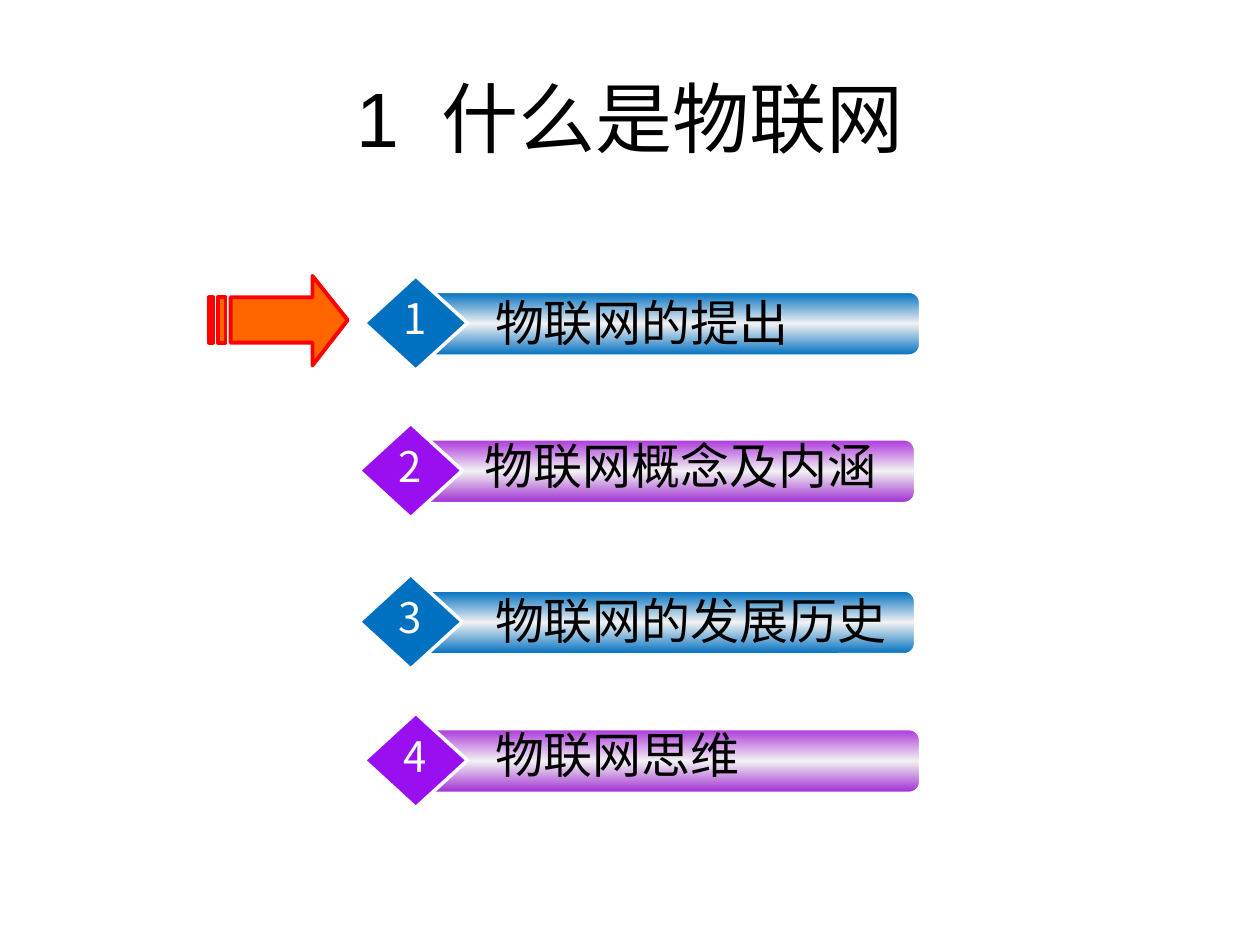
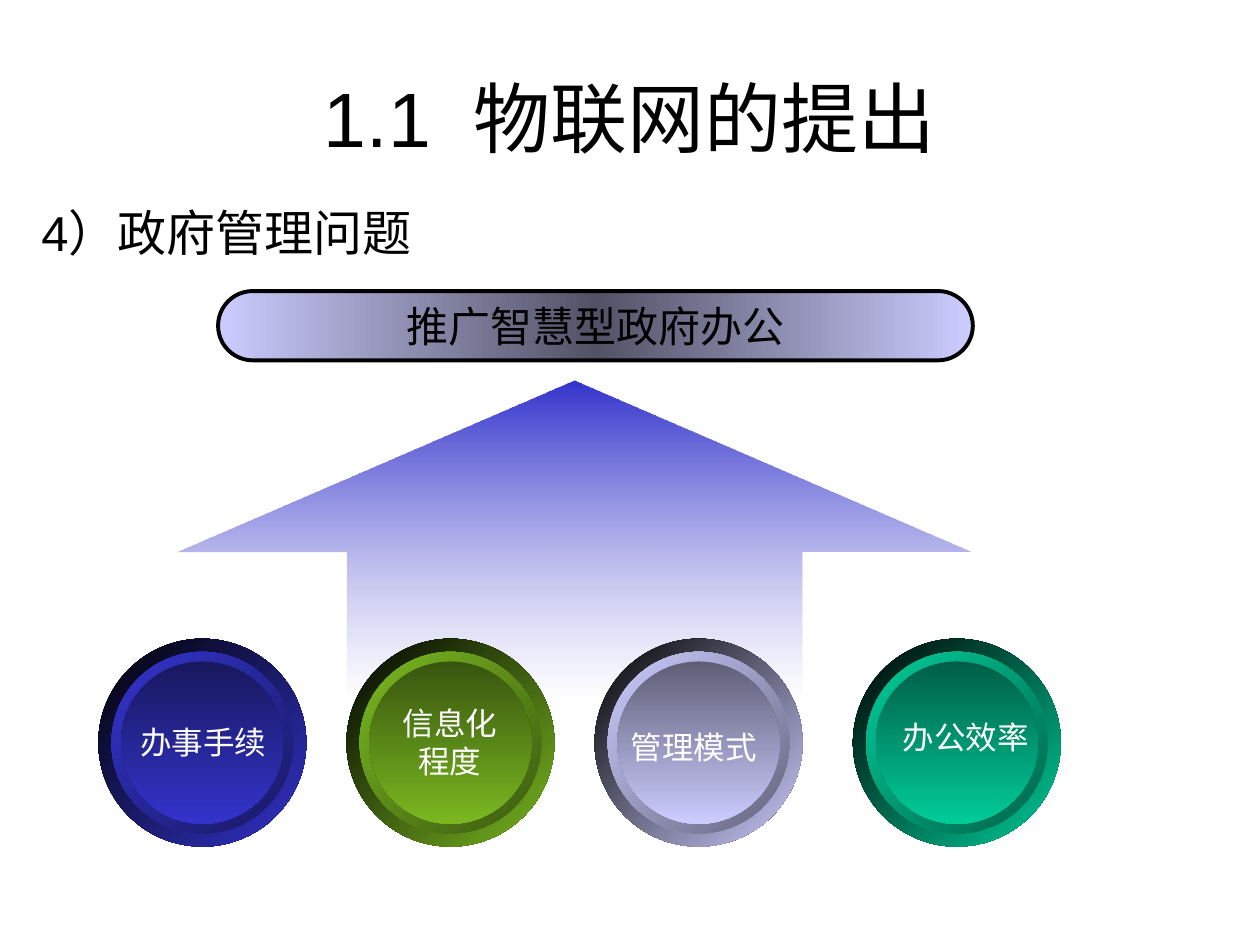
"""Build two slides on the Internet of Things: an agenda and a government management diagram."""
from dataclasses import dataclass

from lxml.etree import SubElement
from pptx import Presentation
from pptx.dml.color import RGBColor
from pptx.enum.shapes import MSO_SHAPE as SHAPE
from pptx.enum.text import MSO_ANCHOR as ANCHOR, PP_ALIGN as ALIGN
from pptx.oxml.ns import qn
from pptx.util import Pt


@dataclass(frozen=True)
class Theme:
    black: str = "000000"
    white: str = "FFFFFF"
    blue: str = "0070C0"
    violet: str = "9A0FEF"
    silver: str = "F2F2F2"
    orange: str = "FF6600"
    red: str = "FF0000"
    indigo: str = "3333CC"
    pale_indigo: str = "8484E0"
    lavender: str = "CCCCFF"
    slate: str = "525266"
    green: str = "7AB820"
    teal: str = "00CC99"
    latin: str = "Arial"
    diagram: str = "Calibri"
    asian: str = "Noto Sans CJK SC"
    title_size: int = 44
    heading_size: int = 28
    accent_size: int = 24
    label_size: int = 18


THEME = Theme()
BLUE_BAR = (THEME.blue, [(0, THEME.blue), (50, THEME.silver), (100, THEME.blue)])
VIOLET_BAR = (THEME.violet, [(0, "AD39DB"), (50, THEME.silver), (100, "9F2ED2")])

AGENDA_TITLE = ("1", "什么是物联网")
AGENDA = [
    ("物联网的提出", BLUE_BAR, (241.2, 167), (275.8, 163.4, 230.4)),
    ("物联网概念及内涵", VIOLET_BAR, (238.3, 251.3), (270, 245.5, 247.7)),
    ("物联网的发展历史", BLUE_BAR, (238.3, 337.7), (275.8, 334.1, 247.7)),
    ("物联网思维", VIOLET_BAR, (241.2, 416.9), (275.8, 410.4, 216)),
]

GOVERNMENT_TITLE = ("1.1", "物联网的提出")
GOVERNMENT_HEADING = "4）政府管理问题"
GOVERNMENT_GOAL = "推广智慧型政府办公"
CAUSES = [
    ("办事手续", THEME.indigo, 56.2, (72.7, 409.7, 87.1, 28.8)),
    ("信息化\n程度", THEME.green, 198, (222.5, 398.9, 69.1, 50.4)),
    ("管理模式", THEME.lavender, 339.8, (352.8, 412.6, 87.1, 28.8)),
    ("办公效率", THEME.teal, 487.4, (508.3, 406.8, 87.1, 28.8)),
]
CAUSE_TOP, CAUSE_SIZE = 365, 118.8
RIM_INSET, CORE_INSET = 7.5, 13
RIM_SHADE, CORE_SHADE = 0.486, 0.462


def points(*lengths):
    return [Pt(length) for length in lengths]


def shade(color, factor):
    return "".join(f"{round(channel * factor):02X}" for channel in RGBColor.from_string(color))


def style_run(run, size, font, color):
    run.font.size = Pt(size)
    run.font.name = font
    run.font.color.rgb = RGBColor.from_string(color)
    SubElement(run.font._element, qn("a:ea"), typeface=THEME.asian)


def write(frame, text, size, font, color, align=ALIGN.LEFT, wrap=False):
    frame.text = text
    frame.word_wrap = wrap
    for paragraph in frame.paragraphs:
        paragraph.alignment = align
        for run in paragraph.runs:
            style_run(run, size, font, color)


def add_label(slide, box, *style, **layout):
    write(slide.shapes.add_textbox(*points(*box)).text_frame, *style, **layout)


def outline(shape, color, width):
    shape.line.color.rgb = RGBColor.from_string(color)
    shape.line.width = Pt(width)


def solid(shape, color):
    shape.fill.solid()
    shape.fill.fore_color.rgb = RGBColor.from_string(color)


def gradient(shape, stops, angle):
    shape.fill.gradient()
    grad = shape._element.spPr.find(qn("a:gradFill"))
    grad.find(qn("a:lin")).set("ang", str(angle * 60000))
    stop_list = grad.find(qn("a:gsLst"))
    for preset_stop in list(stop_list):
        stop_list.remove(preset_stop)
    for position, color, *alpha in stops:
        stop = SubElement(stop_list, qn("a:gs"), pos=str(position * 1000))
        tint = SubElement(stop, qn("a:srgbClr"), val=color)
        for value in alpha:
            SubElement(tint, qn("a:alpha"), val=str(value * 1000))


def add_preset(slide, kind, box, adjustments=()):
    shape = slide.shapes.add_shape(kind, *points(*box))
    shape.shadow.inherit = False
    shape.line.fill.background()
    for index, value in enumerate(adjustments):
        shape.adjustments[index] = value
    return shape


def add_titled_slide(deck, number, name):
    slide = deck.slides.add_slide(deck.slide_layouts[5])
    title = slide.shapes.title
    title.left, title.top, title.width, title.height = points(36, 21.6, 648, 90)
    title.text_frame.vertical_anchor = ANCHOR.MIDDLE
    heading = title.text_frame.paragraphs[0]
    heading.alignment = ALIGN.CENTER
    for part in (number, " ", name):
        run = heading.add_run()
        run.text = part
        style_run(run, THEME.title_size, THEME.latin, THEME.black)
        if part == " ":
            run.font._element.set("spc", "1200")
    return slide


def add_agenda_row(slide, number, topic, palette, bar_at, topic_at):
    accent, stops = palette
    left, top = bar_at
    bar = add_preset(slide, SHAPE.ROUNDED_RECTANGLE, (left, top, 284.4, 36), [0.167])
    gradient(bar, stops, 90)
    outline(bar, THEME.white, 1)
    diamond = add_preset(slide, SHAPE.DIAMOND, (left - 33.1, top - 9.4, 59, 54))
    solid(diamond, accent)
    outline(diamond, THEME.white, 2)
    add_label(slide, (*topic_at, 41), topic, THEME.heading_size, THEME.latin, THEME.black, wrap=True)
    add_label(slide, (left - 17.6, top - 3.2, 26.6, 36.7), str(number),
              THEME.accent_size, THEME.asian, THEME.white)


def add_pointer(slide):
    top, bottom = 169.9, 195.8
    stripes = [[(left, top), (left, bottom), (right, bottom), (right, top)]
               for left, right in ((124.6, 128.9), (119.5, 121.7))]
    arrow = [(178.6, 157.7), (178.6, top), (131.8, top), (131.8, bottom),
             (178.6, bottom), (178.6, 208.8), (198.7, 182.9)]
    builder = slide.shapes.build_freeform(*points(*arrow[0]), scale=1.0)
    builder.add_line_segments([points(*corner) for corner in arrow[1:]])
    for stripe in stripes:
        builder.move_to(*points(*stripe[0]))
        builder.add_line_segments([points(*corner) for corner in stripe[1:]])
    pointer = builder.convert_to_shape()
    pointer.shadow.inherit = False
    solid(pointer, THEME.orange)
    outline(pointer, THEME.red, 2.25)


def add_cause(slide, cause, color, left, label_box):
    layers = [
        (0, THEME.black, color, 45),
        (RIM_INSET, color, shade(color, RIM_SHADE), 45),
        (CORE_INSET, shade(color, CORE_SHADE), color, 90),
    ]
    for inset, start, end, angle in layers:
        size = CAUSE_SIZE - 2 * inset
        disc = add_preset(slide, SHAPE.OVAL, (left + inset, CAUSE_TOP + inset, size, size))
        gradient(disc, [(0, start), (100, end)], angle)
    add_label(slide, label_box, cause, THEME.label_size, THEME.diagram, THEME.white, align=ALIGN.CENTER)


def build_agenda(deck):
    slide = add_titled_slide(deck, *AGENDA_TITLE)
    for number, row in enumerate(AGENDA, 1):
        add_agenda_row(slide, number, *row)
    add_pointer(slide)


def build_government(deck):
    slide = add_titled_slide(deck, *GOVERNMENT_TITLE)
    add_label(slide, (16.6, 112.3, 298, 41), GOVERNMENT_HEADING,
              THEME.heading_size, THEME.latin, THEME.black, wrap=True)
    rise = add_preset(slide, SHAPE.UP_ARROW, (101.5, 217.4, 453.6, 181.4), [0.573, 0.54])
    gradient(rise, [(0, THEME.indigo, 100), (100, THEME.pale_indigo, 0)], 90)
    goal = add_preset(slide, SHAPE.ROUNDED_RECTANGLE, (124.6, 166.3, 431.3, 39.6), [0.5])
    gradient(goal, [(0, THEME.lavender), (50, THEME.slate), (100, THEME.lavender)], 0)
    outline(goal, THEME.black, 2.25)
    goal.text_frame.vertical_anchor = ANCHOR.MIDDLE
    write(goal.text_frame, GOVERNMENT_GOAL, THEME.accent_size, THEME.diagram, THEME.black, ALIGN.CENTER)
    for cause in CAUSES:
        add_cause(slide, *cause)


def main():
    deck = Presentation()
    deck.slide_width, deck.slide_height = points(720, 540)
    build_agenda(deck)
    build_government(deck)
    deck.save("out.pptx")


if __name__ == "__main__":
    main()
